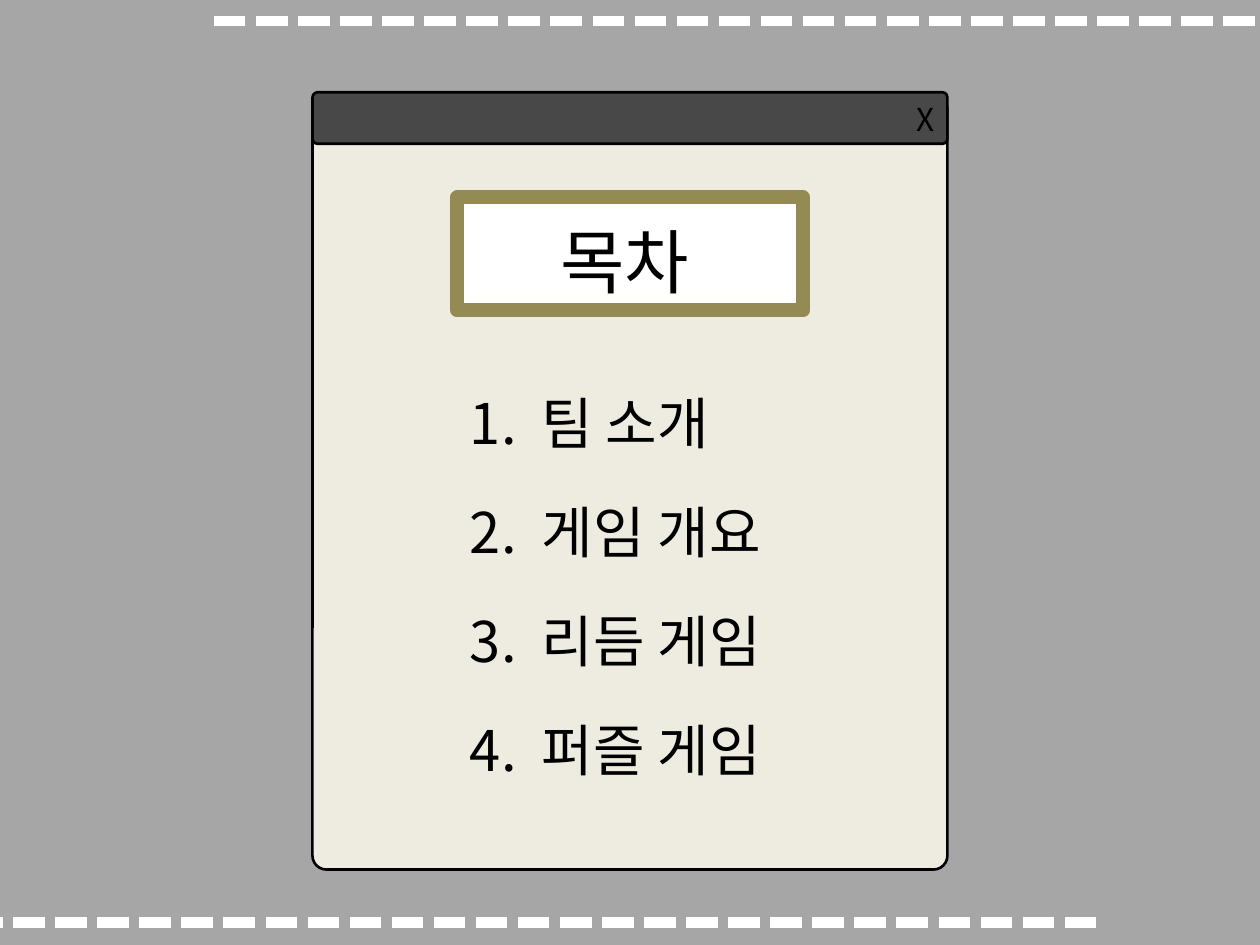
from lxml.etree import SubElement
from pptx import Presentation
from pptx.dml.color import RGBColor
from pptx.enum.dml import MSO_LINE
from pptx.enum.shapes import MSO_CONNECTOR, MSO_SHAPE
from pptx.enum.text import MSO_ANCHOR, MSO_AUTO_SIZE, PP_ALIGN
from pptx.oxml.ns import qn
from pptx.util import Cm, Pt

GRAY = RGBColor(0xA6, 0xA6, 0xA6)
CREAM = RGBColor(0xEE, 0xEC, 0xE1)
DARK = RGBColor(0x48, 0x48, 0x48)
OLIVE = RGBColor(0x94, 0x8A, 0x54)
WHITE = RGBColor(0xFF, 0xFF, 0xFF)
BLACK = RGBColor(0, 0, 0)
FONT = "Noto Sans CJK KR"
TOPICS = ["팀 소개", "게임 개요", "리듬 게임", "퍼즐 게임"]


def add_panel(slide, kind, box, fill, edge, width, round=None):
    panel = slide.shapes.add_shape(kind, *map(Cm, box))
    panel.shadow.inherit = False
    panel.fill.solid()
    panel.fill.fore_color.rgb = fill
    panel.line.color.rgb = edge
    panel.line.width = Pt(width)
    if round is not None:
        panel.adjustments[0] = round


def add_dashes(slide, start, end, y):
    line = slide.shapes.add_connector(
        MSO_CONNECTOR.STRAIGHT, Cm(start), Cm(y), Cm(end), Cm(y))
    line.line.color.rgb = WHITE
    line.line.width = Pt(6)
    line.line.dash_style = MSO_LINE.SQUARE_DOT
    SubElement(line.element.spPr, qn("a:effectLst"))


def style_text(para, size, align):
    para.alignment = align
    for run in para.runs:
        run.font.size = Pt(size)
        run.font.name = FONT
        run.font.color.rgb = BLACK
        SubElement(run.font._element, qn("a:ea"), typeface=FONT)


def place_text(shape, box, text, size, align, anchor=MSO_ANCHOR.TOP):
    """Move the shape to the front, then set its box and its text."""
    shape.element.getparent().append(shape.element)
    shape.left, shape.top, shape.width, shape.height = map(Cm, box)
    frame = shape.text_frame
    frame.word_wrap = True
    frame.auto_size = MSO_AUTO_SIZE.NONE
    frame.vertical_anchor = anchor
    frame.text = text
    for para in frame.paragraphs:
        style_text(para, size, align)


def number_list(frame, indent, gap):
    for i, para in enumerate(frame.paragraphs):
        props = para._p.get_or_add_pPr()
        props.set("marL", str(Cm(indent)))
        props.set("indent", str(-Cm(indent)))
        SubElement(props, qn("a:buFont"), typeface=FONT)
        SubElement(props, qn("a:buAutoNum"), type="arabicPeriod")
        para.space_before = Pt(gap if i else 0)


def main():
    deck = Presentation()
    deck.slide_width, deck.slide_height = Cm(25.4), Cm(19.05)
    slide = deck.slides.add_slide(deck.slide_layouts[1])
    slide.background.fill.solid()
    slide.background.fill.fore_color.rgb = GRAY

    rounded = MSO_SHAPE.ROUNDED_RECTANGLE
    add_panel(slide, rounded, (6.3, 1.93, 12.8, 15.6), CREAM, BLACK, 1.5, 0.022)
    add_panel(slide, rounded, (6.3, 1.86, 12.8, 1.04), DARK, BLACK, 1.5, 0.1)
    add_panel(slide, MSO_SHAPE.RECTANGLE, (9.22, 3.98, 6.97, 2.28),
              WHITE, OLIVE, 8)

    place_text(slide.shapes.title, (10.34, 4.12, 4.5, 2.28), "목차", 40,
               PP_ALIGN.CENTER, MSO_ANCHOR.MIDDLE)
    body = slide.placeholders[1]
    place_text(body, (9.22, 7.7, 6.98, 8.6), "\n".join(TOPICS), 32,
               PP_ALIGN.LEFT)
    number_list(body.text_frame, 1.45, 24)
    close = slide.shapes.add_textbox(0, 0, 0, 0)
    place_text(close, (17.48, 1.9, 2.36, 1.02), "X", 18, PP_ALIGN.CENTER)

    add_dashes(slide, 25.3, 4.3, 0.42)
    add_dashes(slide, 22.1, -0.1, 18.6)
    deck.save("out.pptx")


if __name__ == "__main__":
    main()
